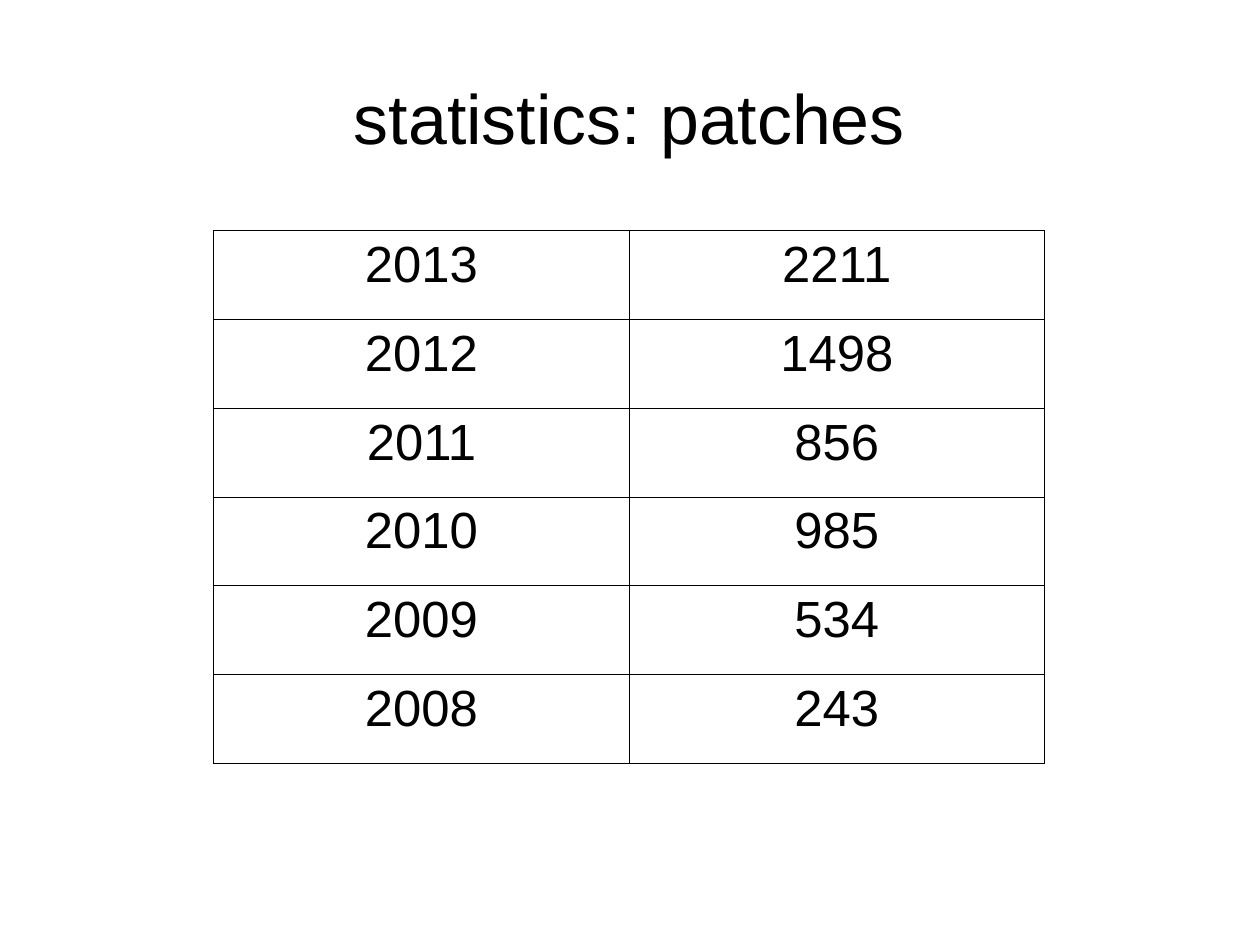
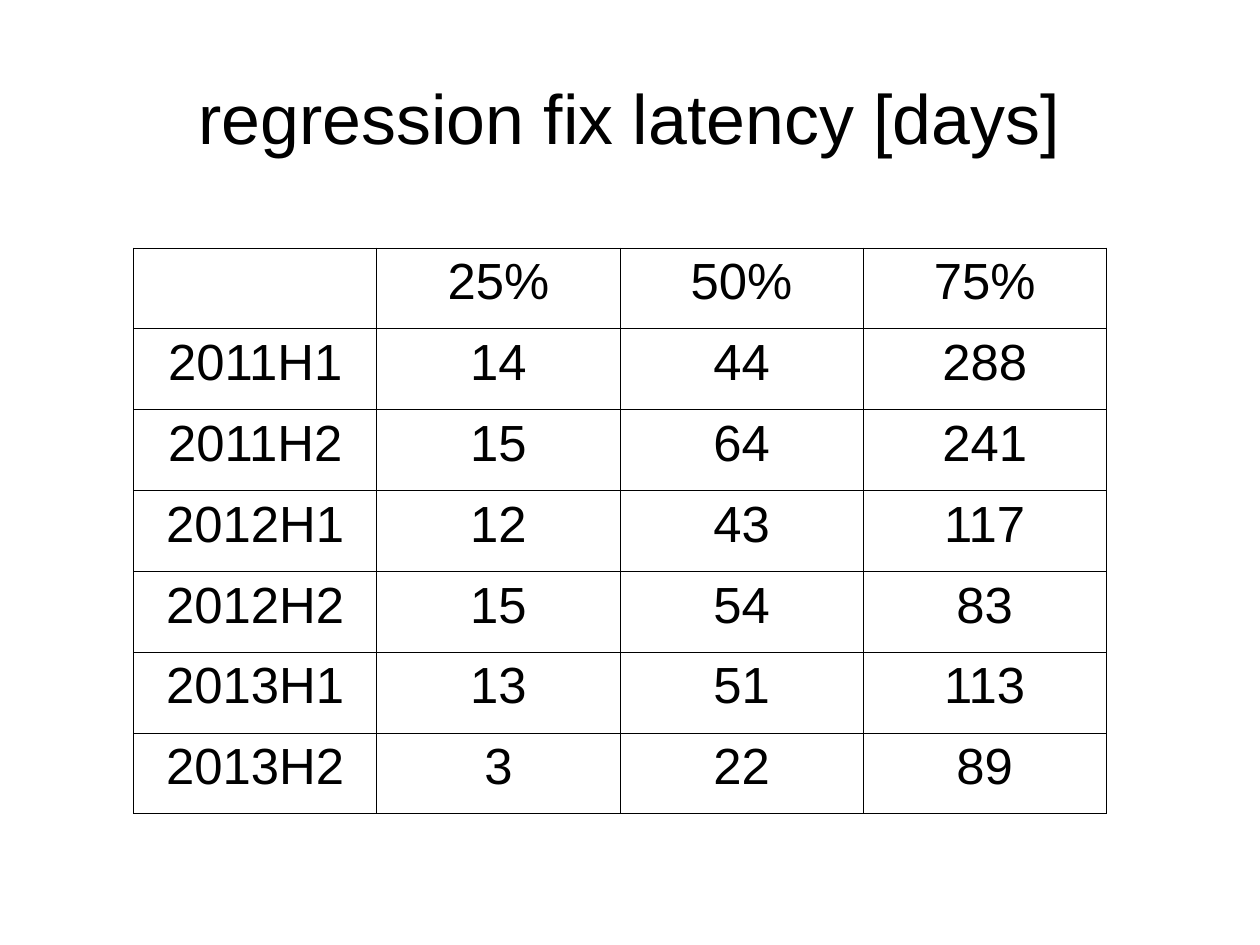
"""Build two slides of patch statistics, each with a title and a plain grid."""
from dataclasses import dataclass

from lxml import etree
from pptx import Presentation
from pptx.dml.color import RGBColor
from pptx.enum.text import MSO_ANCHOR, MSO_AUTO_SIZE, PP_ALIGN
from pptx.oxml.ns import qn
from pptx.presentation import Presentation as Deck
from pptx.slide import Slide
from pptx.table import _Cell
from pptx.text.text import _Paragraph
from pptx.util import Inches, Pt

CENTER = PP_ALIGN.CENTER
MIDDLE = MSO_ANCHOR.MIDDLE
NO_AUTOFIT = MSO_AUTO_SIZE.NONE
TITLE_ONLY_LAYOUT = 5
BORDER_SIDES = ("a:lnL", "a:lnR", "a:lnT", "a:lnB")
CM_PER_INCH = 2.54
SLIDE_WIDTH = Inches(28 / CM_PER_INCH)
SLIDE_HEIGHT = Inches(21 / CM_PER_INCH)


@dataclass(frozen=True)
class Theme:
    """Colours, font and sizes shared by the slides."""
    font: str = "Arial"
    ink: RGBColor = RGBColor(0, 0, 0)
    paper: RGBColor = RGBColor(255, 255, 255)
    title_size: int = 44
    cell_size: int = 32
    border_width: float = 0.57


@dataclass(frozen=True)
class Statistics:
    """Title, grid bounds in inches and cell texts of one slide."""
    title: str
    left: float
    top: float
    width: float
    height: float
    rows: tuple[tuple[str, ...], ...]


THEME = Theme()
SLIDES = (
    Statistics(
        "statistics: patches", 1.87, 2.02, 7.27, 4.66,
        (
            ("2013", "2211"),
            ("2012", "1498"),
            ("2011", "856"),
            ("2010", "985"),
            ("2009", "534"),
            ("2008", "243"),
        ),
    ),
    Statistics(
        "regression fix latency [days]", 1.17, 2.17, 8.51, 4.95,
        (
            ("", "25%", "50%", "75%"),
            ("2011H1", "14", "44", "288"),
            ("2011H2", "15", "64", "241"),
            ("2012H1", "12", "43", "117"),
            ("2012H2", "15", "54", "83"),
            ("2013H1", "13", "51", "113"),
            ("2013H2", "3", "22", "89"),
        ),
    ),
)


def style_paragraph(paragraph: _Paragraph, size: int) -> None:
    """Centre a paragraph and give it the theme font."""
    paragraph.alignment = CENTER
    paragraph.font.name = THEME.font
    paragraph.font.size = Pt(size)
    paragraph.font.color.rgb = THEME.ink


def add_title(slide: Slide, text: str) -> None:
    """Place and format the title placeholder."""
    title = slide.shapes.title
    title.left, title.top = Inches(0.55), Inches(0.33)
    title.width, title.height = Inches(9.92), Inches(1.38)
    frame = title.text_frame
    frame.text = text
    frame.word_wrap = True
    frame.auto_size = NO_AUTOFIT
    frame.vertical_anchor = MIDDLE
    frame.margin_left = frame.margin_right = 0
    frame.margin_top = frame.margin_bottom = 0
    style_paragraph(frame.paragraphs[0], THEME.title_size)


def add_borders(cell: _Cell) -> None:
    """Draw a thin line on every side of a cell."""
    properties = cell._tc.get_or_add_tcPr()
    for side in BORDER_SIDES:
        line = etree.SubElement(properties, qn(side), w=str(int(Pt(THEME.border_width))))
        fill = etree.SubElement(line, qn("a:solidFill"))
        etree.SubElement(fill, qn("a:srgbClr"), val=str(THEME.ink))


def fill_cell(cell: _Cell, text: str) -> None:
    """Write and format one cell."""
    add_borders(cell)
    cell.fill.solid()
    cell.fill.fore_color.rgb = THEME.paper
    cell.text = text
    style_paragraph(cell.text_frame.paragraphs[0], THEME.cell_size)


def add_grid(slide: Slide, statistics: Statistics) -> None:
    """Add a table with equal rows and equal columns."""
    rows = statistics.rows
    grid = slide.shapes.add_table(
        len(rows), len(rows[0]),
        Inches(statistics.left), Inches(statistics.top),
        Inches(statistics.width), Inches(statistics.height),
    ).table
    grid.first_row = False
    grid.horz_banding = False
    for row_index, row in enumerate(rows):
        for column_index, text in enumerate(row):
            fill_cell(grid.cell(row_index, column_index), text)


def add_statistics_slide(deck: Deck, statistics: Statistics) -> None:
    """Add one slide with its title and grid."""
    slide = deck.slides.add_slide(deck.slide_layouts[TITLE_ONLY_LAYOUT])
    add_title(slide, statistics.title)
    add_grid(slide, statistics)


def main() -> None:
    """Build and save the presentation."""
    deck = Presentation()
    deck.slide_width = SLIDE_WIDTH
    deck.slide_height = SLIDE_HEIGHT
    background = deck.slide_master.background.fill
    background.solid()
    background.fore_color.rgb = THEME.paper
    for statistics in SLIDES:
        add_statistics_slide(deck, statistics)
    deck.save("out.pptx")


if __name__ == "__main__":
    main()
